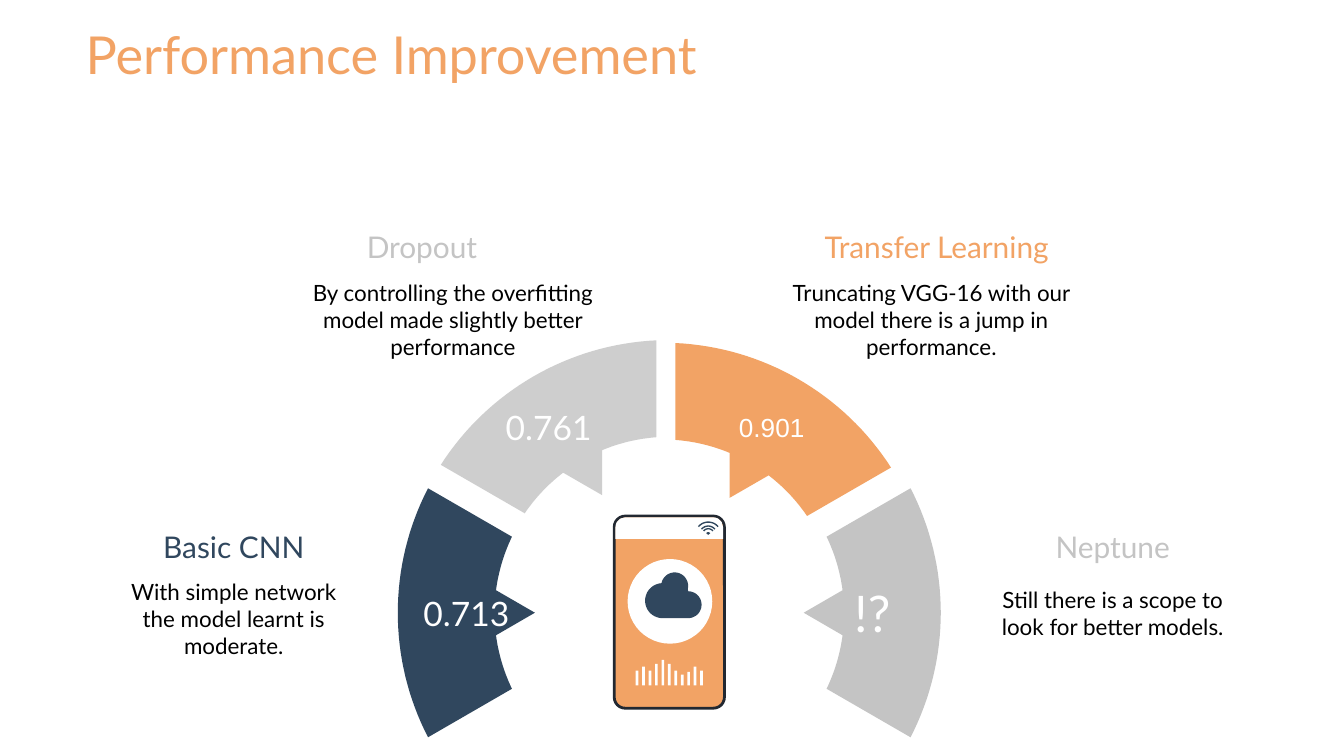
from math import cos, radians, sin

from pptx import Presentation
from pptx.dml.color import RGBColor
from pptx.enum.shapes import MSO_SHAPE as Preset
from pptx.enum.text import MSO_ANCHOR as Anchor, MSO_AUTO_SIZE as AutoSize, PP_ALIGN as Align
from pptx.util import Inches, Pt

ORANGE = RGBColor(0xF2, 0xA3, 0x65)
NAVY = RGBColor(0x30, 0x47, 0x5E)
GREY = RGBColor(0xC4, 0xC4, 0xC4)
LIGHT_GREY = RGBColor(0xCE, 0xCE, 0xCE)
INK = RGBColor(0x22, 0x28, 0x31)
WHITE = RGBColor(0xFF, 0xFF, 0xFF)
BLACK = RGBColor(0, 0, 0)

TITLE = "Performance Improvement"

# Gauge band: centre, middle angle, colour, score, score size
BANDS = [
    ((4.93, 4.57), 60, ORANGE, None, None),
    ((4.98, 4.56), 0, GREY, "!?", 27),
    ((4.98, 4.55), 120, LIGHT_GREY, "0.761", 18),
    ((4.98, 4.56), 180, NAVY, "0.713", 18),
]
OUTER_RADIUS, INNER_RADIUS, TIP_RADIUS = 2.02, 1.3, 1.0
OUTER_SPREAD, INNER_SPREAD, TIP_SPREAD = 27.3, 25.8, 7.4

# Model: heading, colour, heading box, description, description box
MODELS = [
    ("Dropout", GREY, (2.16, 1.6, 1.96, 0.47),
     "By controlling the overfitting model made slightly better performance",
     (2.16, 1.98, 2.42, 0.58)),
    ("Basic CNN", NAVY, (0.76, 3.83, 1.96, 0.47),
     "With simple network the model learnt is moderate.",
     (0.76, 4.2, 1.96, 0.58)),
    ("Transfer Learning", ORANGE, (5.72, 1.6, 2.5, 0.47),
     "Truncating VGG-16 with our model there is a jump in performance.",
     (5.72, 1.98, 2.42, 0.58)),
    ("Neptune", GREY, (7.3, 3.83, 1.96, 0.47),
     "Still there is a scope to look for better models.",
     (7.3, 4.26, 1.96, 0.58)),
]

SOUND_BARS = [0.11, 0.14, 0.11, 0.16, 0.19, 0.16, 0.11, 0.08, 0.1, 0.14, 0.11]
BARS_LEFT, BARS_RIGHT, BARS_BOTTOM, BAR_WIDTH = 4.73, 5.23, 5.1, 0.02
WIFI_CENTRE, WIFI_SPREAD, WIFI_WIDTH = (5.27, 3.98), 50, 0.01
WIFI_RADII = [0.1, 0.07, 0.05, 0.02]


def arc(centre, radius, start, end, steps=32):
    """Points along an arc; angles in degrees, counterclockwise from the right."""
    angles = [radians(start + (end - start) * i / steps) for i in range(steps + 1)]
    return [(centre[0] + radius * cos(a), centre[1] - radius * sin(a)) for a in angles]


def paint(shape, fill, line=None, width=1.5):
    shape.shadow.inherit = False
    shape.fill.solid()
    shape.fill.fore_color.rgb = fill
    if line is None:
        shape.line.fill.background()
    else:
        shape.line.color.rgb = line
        shape.line.width = Pt(width)
    return shape


def add_outline(slide, points, fill):
    start, *rest = [(Inches(x), Inches(y)) for x, y in points]
    builder = slide.shapes.build_freeform(*start)
    builder.add_line_segments(rest, close=True)
    return paint(builder.convert_to_shape(), fill)


def add_preset(slide, preset, box, fill, line=None):
    return paint(slide.shapes.add_shape(preset, *map(Inches, box)), fill, line)


def write(shape, text, size, color, anchor=Anchor.MIDDLE, align=Align.CENTER,
          font="Lato", inset=0.1):
    frame = shape.text_frame
    frame.word_wrap = True
    frame.auto_size = AutoSize.NONE
    frame.vertical_anchor = anchor
    frame.margin_left = frame.margin_right = Inches(0.1)
    frame.margin_top = frame.margin_bottom = Inches(inset)
    paragraph = frame.paragraphs[0]
    paragraph.alignment = align
    run = paragraph.add_run()
    run.text = text
    run.font.size = Pt(size)
    run.font.name = font
    run.font.color.rgb = color


def add_text(slide, box, *content, **options):
    shape = slide.shapes.add_textbox(*map(Inches, box))
    write(shape, *content, **options)
    return shape


def add_band(slide, centre, middle, color, score, size):
    """A ring segment whose inner edge has a pointer towards the centre."""
    points = (
        arc(centre, OUTER_RADIUS, middle + OUTER_SPREAD, middle - OUTER_SPREAD)
        + arc(centre, INNER_RADIUS, middle - INNER_SPREAD, middle - TIP_SPREAD)
        + arc(centre, TIP_RADIUS, middle, middle, 1)[:1]
        + arc(centre, INNER_RADIUS, middle + TIP_SPREAD, middle + INNER_SPREAD)
    )
    band = add_outline(slide, points, color)
    if score:
        write(band, score, size, WHITE)


def add_phone(slide):
    body = add_preset(slide, Preset.ROUNDED_RECTANGLE, (4.57, 3.84, 0.82, 1.43), ORANGE, INK)
    body.adjustments[0] = 0.1
    header = add_preset(slide, Preset.ROUND_2_SAME_RECTANGLE, (4.58, 3.85, 0.8, 0.16), WHITE)
    header.adjustments[0] = 0.45
    add_preset(slide, Preset.OVAL, (4.67, 4.16, 0.63, 0.63), WHITE)

    pitch = (BARS_RIGHT - BARS_LEFT - BAR_WIDTH) / (len(SOUND_BARS) - 1)
    for i, height in enumerate(SOUND_BARS):
        box = (BARS_LEFT + i * pitch, BARS_BOTTOM - height, BAR_WIDTH, height)
        add_preset(slide, Preset.RECTANGLE, box, WHITE)

    low, high = 90 - WIFI_SPREAD, 90 + WIFI_SPREAD
    for radius in WIFI_RADII:
        inner = 0 if radius == min(WIFI_RADII) else radius - WIFI_WIDTH
        wave = arc(WIFI_CENTRE, radius, high, low) + arc(WIFI_CENTRE, inner, low, high)
        add_outline(slide, wave, NAVY)


def add_cloud(slide):
    points = (
        arc((4.93, 4.47), 0.13, 270, 90)
        + arc((5.02, 4.36), 0.1, 168, -12)
        + arc((5.12, 4.5), 0.1, 90, -90)
    )
    add_outline(slide, points, NAVY)


def main():
    presentation = Presentation()
    presentation.slide_width = Inches(10)
    presentation.slide_height = presentation.slide_width * 9 // 16
    slide = presentation.slides.add_slide(presentation.slide_layouts[5])

    title = slide.shapes.title
    title.left, title.top = Inches(0.19), Inches(0.34)
    title.width, title.height = Inches(5.44), Inches(0.11)
    write(title, TITLE, 28, ORANGE)

    for band in BANDS:
        add_band(slide, *band)
    add_phone(slide)
    for heading, color, heading_box, description, description_box in MODELS:
        add_text(slide, heading_box, heading, 16, color)
        add_text(slide, description_box, description, 12, BLACK, anchor=Anchor.TOP)
    add_cloud(slide)
    score = add_text(slide, (5.4, 3.01, 0.77, 0.34), "0.901", 14, WHITE,
                     anchor=Anchor.TOP, align=Align.LEFT, font="Arial", inset=0.05)
    score.text_frame.auto_size = AutoSize.SHAPE_TO_FIT_TEXT

    presentation.save("out.pptx")


if __name__ == "__main__":
    main()
